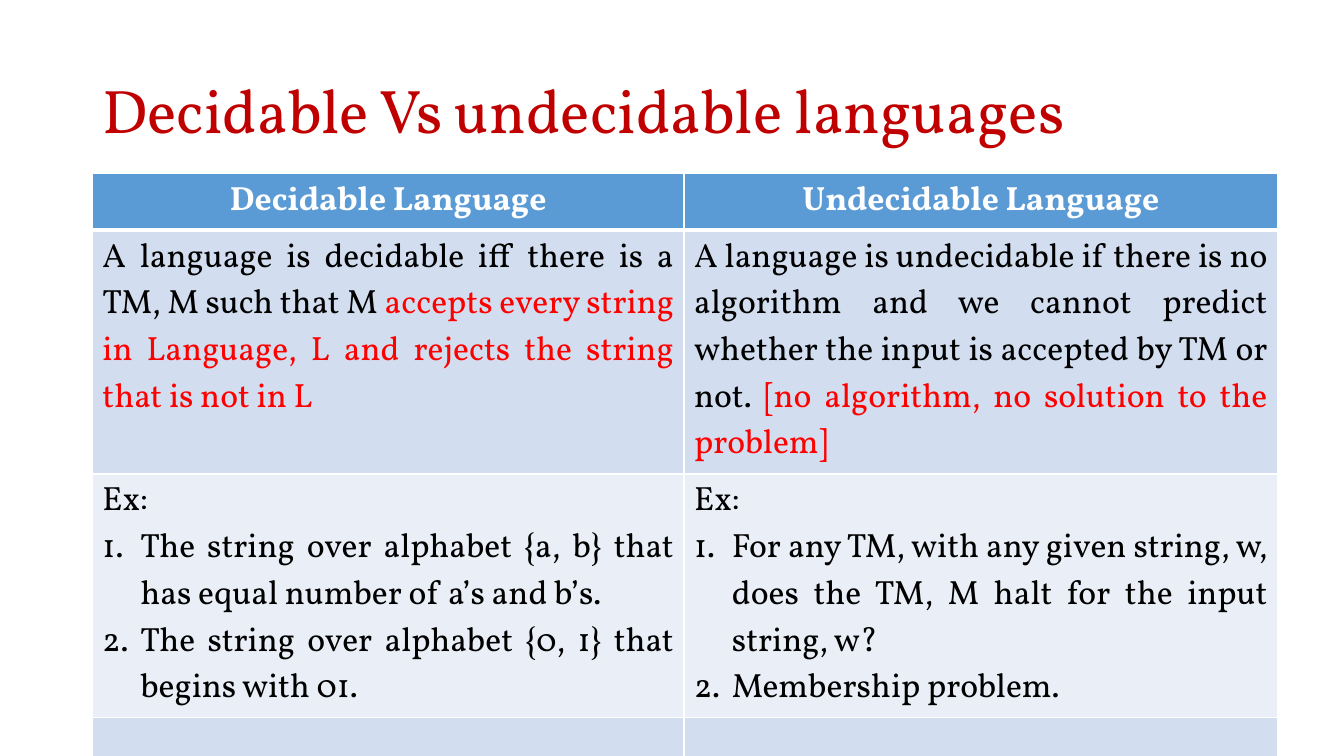
from lxml import etree
from pptx import Presentation
from pptx.dml.color import RGBColor
from pptx.enum.text import MSO_ANCHOR, PP_ALIGN
from pptx.oxml.ns import qn
from pptx.util import Pt

LEFT, CENTER, JUSTIFY = PP_ALIGN.LEFT, PP_ALIGN.CENTER, PP_ALIGN.JUSTIFY
MIDDLE = MSO_ANCHOR.MIDDLE

FONT = "Vollkorn"
WHITE, BLACK, RED, CRIMSON = "FFFFFF", "000000", "FF0000", "C00000"
FILLS = ["5B9BD5", "D2DEEF", "EAEFF7", "D2DEEF"]
WIDTHS = [422.6, 424.1]
HEIGHTS = [37.4, 174.2, 146.2, 37.4]

HEADS = ["Decidable Language", "Undecidable Language"]
MEANINGS = [
    [("A language is decidable iff there is a TM, M such that M ", BLACK),
     ("accepts every string in Language, L and rejects the string "
      "that is not in L", RED)],
    [("A language is undecidable if there is no algorithm and we cannot "
      "predict whether the input is accepted by TM or not. ", BLACK),
     ("[no algorithm, no solution to the problem]", RED)],
]
SAMPLES = [
    ["The string over alphabet {a, b} that has equal number of a’s and b’s.",
     "The string over alphabet {0, 1} that begins with 01."],
    ["For any TM, with any given string, w, does the TM, M halt for the "
     "input string, w?",
     "Membership problem."],
]


def color(code):
    return RGBColor.from_string(code)


def add_run(para, text, code, size=24, bold=False):
    run = para.add_run()
    run.text = text
    font = run.font
    font.name, font.size, font.bold = FONT, Pt(size), bold
    font.color.rgb = color(code)


def number(para):
    """Make the paragraph an item of a numbered list."""
    props = para._p.get_or_add_pPr()
    props.set("marL", str(Pt(27)))
    props.set("indent", str(-Pt(27)))
    etree.SubElement(props, qn("a:buAutoNum"), type="arabicPeriod")


def add_edge(cell, side, width):
    line = etree.SubElement(cell._tc.get_or_add_tcPr(), qn("a:" + side),
                            w=str(Pt(width)))
    fill = etree.SubElement(line, qn("a:solidFill"))
    etree.SubElement(fill, qn("a:srgbClr"), val=WHITE)


def style_cell(cell, row):
    """Draw the edges, thick around the header's base, and fill the cell."""
    add_edge(cell, "lnL", 1)
    add_edge(cell, "lnR", 1)
    add_edge(cell, "lnT", 3 if row == 1 else 1)
    add_edge(cell, "lnB", 3 if row == 0 else 1)
    cell.fill.solid()
    cell.fill.fore_color.rgb = color(FILLS[row])


def set_title(slide, text):
    title = slide.shapes.title
    title.left, title.top = Pt(66), Pt(28.8)
    title.width, title.height = Pt(828), Pt(104.4)
    title.text_frame.vertical_anchor = MIDDLE
    title.text_frame.word_wrap = True
    para = title.text_frame.paragraphs[0]
    para.alignment, para.line_spacing = LEFT, 0.9
    add_run(para, text, CRIMSON, 44)


def add_grid(slide):
    frame = slide.shapes.add_table(len(HEIGHTS), len(WIDTHS), Pt(66), Pt(123.8),
                                   Pt(sum(WIDTHS)), Pt(sum(HEIGHTS)))
    table = frame.table
    for col, width in zip(table.columns, WIDTHS):
        col.width = Pt(width)
    for index, height in enumerate(HEIGHTS):
        table.rows[index].height = Pt(height)
        for col in range(len(WIDTHS)):
            style_cell(table.cell(index, col), index)
    return table


def fill_column(table, col):
    head, meaning, sample = (table.cell(row, col).text_frame
                             for row in range(3))
    para = head.paragraphs[0]
    para.alignment = CENTER
    add_run(para, HEADS[col], WHITE, bold=True)

    para = meaning.paragraphs[0]
    para.alignment = JUSTIFY
    for text, code in MEANINGS[col]:
        add_run(para, text, code)

    para = sample.paragraphs[0]
    para.alignment = JUSTIFY
    add_run(para, "Ex:", BLACK)
    for text in SAMPLES[col]:
        para = sample.add_paragraph()
        para.alignment = JUSTIFY
        number(para)
        add_run(para, text, BLACK)


def main():
    deck = Presentation()
    deck.slide_width, deck.slide_height = Pt(960), Pt(540)
    slide = deck.slides.add_slide(deck.slide_layouts[5])
    set_title(slide, "Decidable Vs undecidable languages")
    table = add_grid(slide)
    for col in range(len(WIDTHS)):
        fill_column(table, col)
    deck.save("out.pptx")


if __name__ == "__main__":
    main()
